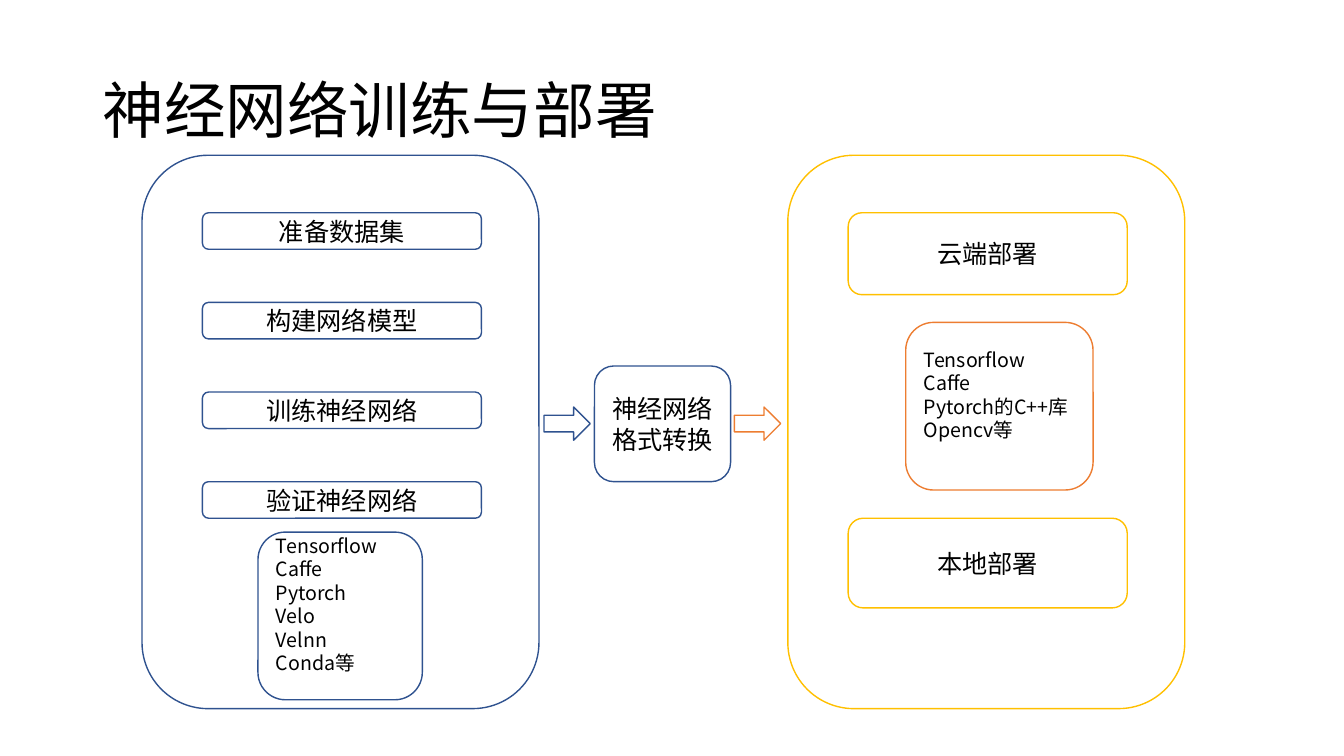
from pptx import Presentation
from pptx import util as u
from pptx.dml.color import RGBColor
from pptx.enum import shapes, text
from pptx.oxml.ns import qn

FONT = "Noto Sans CJK SC"
COLORS = {"blue": "2F528F", "gold": "FFC000", "orange": "ED7D31",
          "white": "FFFFFF", "black": "000000"}
ROUND = shapes.MSO_SHAPE.ROUNDED_RECTANGLE
ARROW = shapes.MSO_SHAPE.RIGHT_ARROW
CENTER, LEFT = text.PP_ALIGN.CENTER, text.PP_ALIGN.LEFT
STEPS = ["准备数据集", "构建网络模型", "训练神经网络", "验证神经网络"]
TRAIN_TOOLS = ["Tensorflow", "Caffe", "Pytorch", "Velo", "Velnn", "Conda等"]
DEPLOY_TOOLS = ["Tensorflow", "Caffe", "Pytorch的C++库", "Opencv等"]


def rgb(name):
    return RGBColor.from_string(COLORS[name])


def within(box, col, row, cols, rows):
    left, top, width, height = box
    return (left + width * col / 100, top + height * row / 100,
            width * cols / 100, height * rows / 100)


def write(sp, lines, size, align):
    tf = sp.text_frame
    tf.word_wrap = True
    tf.vertical_anchor = text.MSO_ANCHOR.MIDDLE
    tf.text = "\n".join(lines)
    for p in tf.paragraphs:
        p.alignment = align
        for r in p.runs:
            r.font.size = u.Pt(size)
            r.font.name = FONT
            r.font.color.rgb = rgb("black")
            ea = r.font._element.makeelement(qn("a:ea"), {"typeface": FONT})
            r.font._element.find(qn("a:latin")).addnext(ea)


def outline(s, kind, box, color):
    sp = s.shapes.add_shape(kind, *map(u.Inches, box))
    sp.shadow.inherit = False
    sp.fill.solid()
    sp.fill.fore_color.rgb = rgb("white")
    sp.line.color.rgb = rgb(color)
    sp.line.width = u.Pt(1)
    return sp


def label(s, box, color, caption):
    write(outline(s, ROUND, box, color), [caption], 18, CENTER)


def tool_list(s, box, color, tools):
    sp = outline(s, ROUND, box, color)
    write(sp, tools, 14, LEFT)
    sp.text_frame.margin_bottom = u.Inches(0.28)


def title(s, box, caption):
    sp = s.shapes.add_textbox(*map(u.Inches, box))
    write(sp, [caption], 44, LEFT)
    sp.text_frame.paragraphs[0].line_spacing = 0.9


def training_panel(s, box):
    outline(s, ROUND, box, "blue")
    for i, step in enumerate(STEPS):
        label(s, within(box, 15.2, 10.4 + 16.2 * i, 70.3, 6.6), "blue", step)
    tool_list(s, within(box, 29.2, 68.1, 41.4, 30.3), "blue", TRAIN_TOOLS)


def conversion_bridge(s, box):
    label(s, within(box, 22.3, 38.1, 54.7, 20.9), "blue", "神经网络格式转换")
    for col, color in ((2, "blue"), (78.5, "orange")):
        outline(s, ARROW, within(box, col, 45.5, 18.6, 6), color)


def deployment_panel(s, box):
    outline(s, ROUND, box, "gold")
    label(s, within(box, 15.2, 10.4, 70.3, 14.8), "gold", "云端部署")
    label(s, within(box, 15.2, 65.6, 70.3, 16.2), "gold", "本地部署")
    tool_list(s, within(box, 29.7, 30.2, 47.2, 30.3), "orange", DEPLOY_TOOLS)


def main():
    prs = Presentation()
    prs.slide_width, prs.slide_height = u.Inches(13.34), u.Inches(7.5)
    s = prs.slides.add_slide(prs.slide_layouts[6])
    top, height, panel, gap = 1.54, 5.49, 3.94, 2.47
    left = 1.41
    title(s, (0.92, 0.4, 11.5, 1.45), "神经网络训练与部署")
    training_panel(s, (left, top, panel, height))
    conversion_bridge(s, (left + panel, top, gap, height))
    deployment_panel(s, (left + panel + gap, top, panel, height))
    prs.save("out.pptx")


if __name__ == "__main__":
    main()
